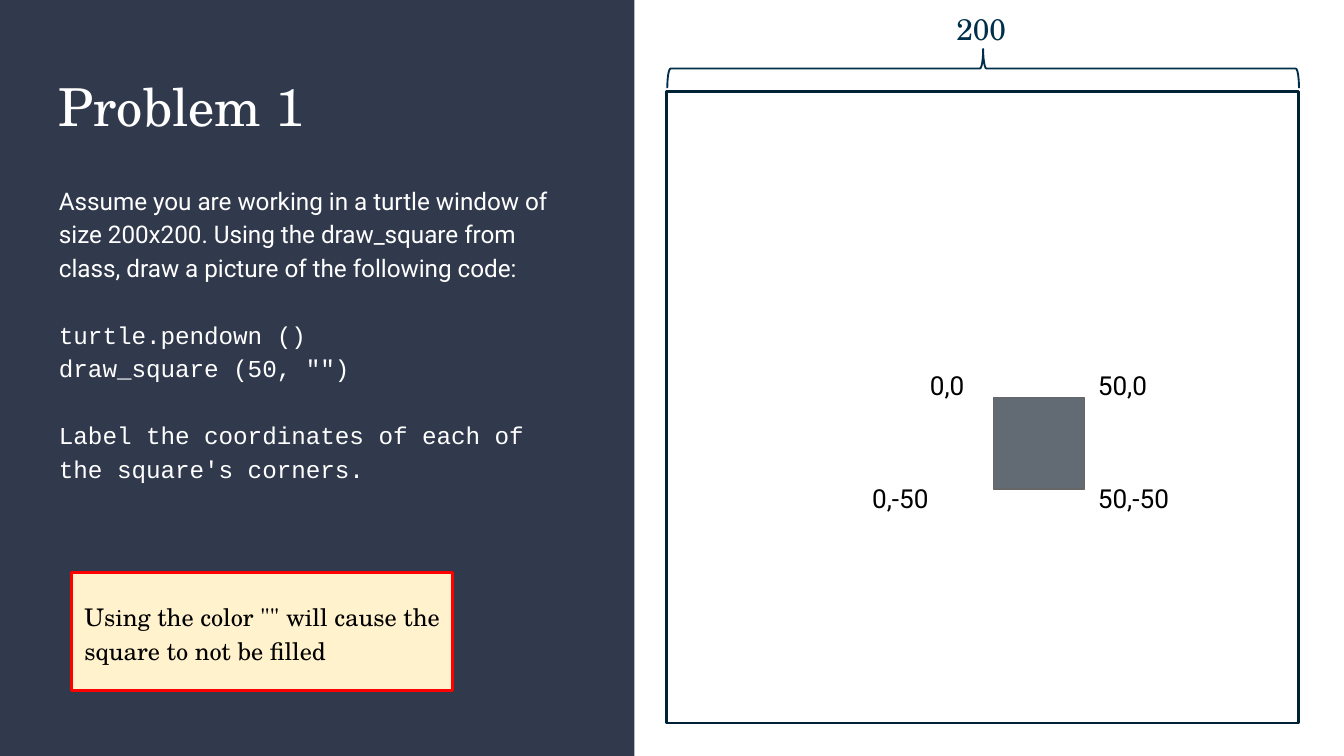
from pptx import Presentation
from pptx.dml.color import RGBColor
from pptx.enum import shapes, text
from pptx.util import Inches, Pt

SERIF, SANS, MONO = "TeX Gyre Schola", "Roboto", "Courier New"


def add_block(kind, box, fill=None, line=None, width=1):
    shape = slide.shapes.add_shape(kind, *map(Inches, box))
    shape.shadow.inherit = False
    if fill:
        shape.fill.solid()
        shape.fill.fore_color.rgb = RGBColor.from_string(fill)
    else:
        shape.fill.background()
    if line:
        shape.line.color.rgb = RGBColor.from_string(line)
        shape.line.width = Pt(width)
    else:
        shape.line.fill.background()
    return shape


def write(shape, lines, size, color, spacing=1.0, inset=0.1,
          anchor=text.MSO_ANCHOR.TOP, align=text.PP_ALIGN.LEFT):
    frame = shape.text_frame
    frame.word_wrap = True
    frame.vertical_anchor = anchor
    frame.margin_left = frame.margin_right = Inches(0.1)
    frame.margin_top = frame.margin_bottom = Inches(inset)
    for index, (content, font, gap) in enumerate(lines):
        paragraph = frame.add_paragraph() if index else frame.paragraphs[0]
        paragraph.text = content
        paragraph.alignment = align
        paragraph.line_spacing = spacing
        paragraph.space_before = Pt(gap)
        paragraph.font.name = font
        paragraph.font.size = Pt(size)
        paragraph.font.color.rgb = RGBColor.from_string(color)


presentation = Presentation()
presentation.slide_width = Inches(10)
presentation.slide_height = Inches(10) * 9 // 16
slide = presentation.slides.add_slide(presentation.slide_layouts[6])
rectangle = shapes.MSO_SHAPE.RECTANGLE

panel = add_block(rectangle, (0, 0, 4.72, 5.62), "31394D")
panel.height = presentation.slide_height

title = slide.shapes.add_textbox(*map(Inches, (0.34, 0.45, 4.05, 0.7)))
write(title, [("Problem 1", SERIF, 0)], 28, "FFFFFF")

callout = add_block(rectangle, (0.53, 4.26, 2.84, 0.88), "FFF2CC", "FF0000", 1.5)
write(callout, [('Using the color "" will cause the square to not be filled', SERIF, 0)],
      13, "000000", spacing=1.15, anchor=text.MSO_ANCHOR.MIDDLE)

task_lines = [
    ("Assume you are working in a turtle window of size 200x200. Using the "
     "draw_square from class, draw a picture of the following code:", SANS, 0),
    ("turtle.pendown ()", MONO, 18),
    ('draw_square (50, "")', MONO, 0),
    ("Label the coordinates of each of the square's corners.", MONO, 18),
]
task = slide.shapes.add_textbox(*map(Inches, (0.34, 1.25, 4.05, 3.11)))
write(task, task_lines, 13, "FFFFFF", spacing=1.15)

add_block(rectangle, (4.96, 0.68, 4.7, 4.7), line="002236", width=1.5)

brace = add_block(shapes.MSO_SHAPE.LEFT_BRACE, (7.17, -1.84, 0.29, 4.7), line="002D49")
brace.rotation = 90

width_label = slide.shapes.add_textbox(*map(Inches, (6.96, 0.03, 0.68, 0.37)))
write(width_label, [("200", SERIF, 0)], 16, "002F4A", inset=0.05,
      align=text.PP_ALIGN.CENTER)

add_block(rectangle, (7.39, 2.96, 0.68, 0.68), "626B73", "666666", 0.75)

corners = [
    ("0,0", 6.82, 2.65, 0.68),
    ("50,0", 8.07, 2.65, 0.68),
    ("50,-50", 8.07, 3.49, 1.12),
    ("0,-50", 6.39, 3.49, 1.02),
]
for label, left, top, width in corners:
    corner = slide.shapes.add_textbox(*map(Inches, (left, top, width, 0.47)))
    write(corner, [(label, SANS, 0)], 14, "000000")

presentation.save("out.pptx")
